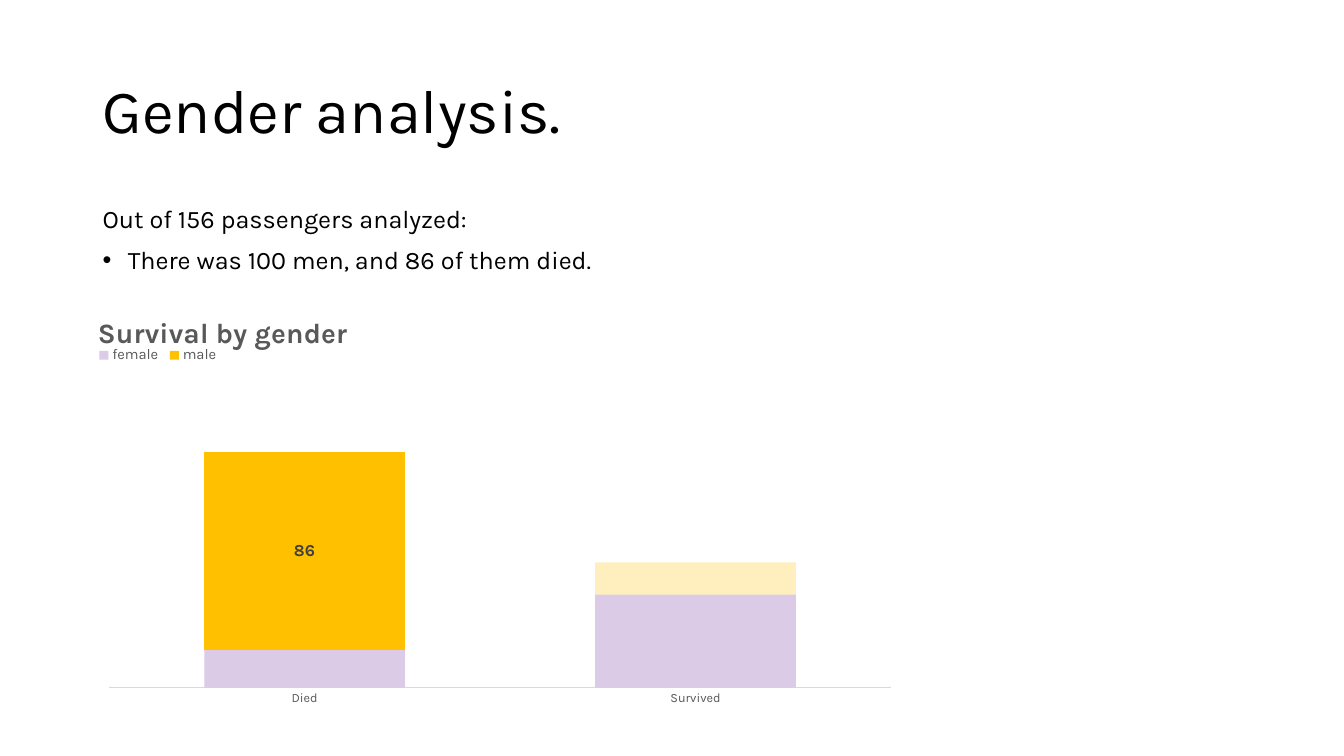
from lxml import etree
from pptx import Presentation
from pptx import util as u
from pptx.chart.data import CategoryChartData
from pptx.dml.color import RGBColor
from pptx.enum import chart as ch, text
from pptx.oxml import parse_xml
from pptx.oxml.ns import nsdecls, qn

PX = 9144  # EMU, 100 px to the inch
FONT = "Karla"
BLACK, GREY, DARK, PALE = "000000", "595959", "404040", "D9D9D9"
PURPLE, GOLD = "7030A0", "FFC000"


def px(*lengths):
    return [u.Emu(length * PX) for length in lengths]


def rgb(value):
    return RGBColor.from_string(value)


def style(font, size, color, bold=False):
    font.name, font.size, font.bold = FONT, u.Pt(size), bold
    font.color.rgb = rgb(color)


def fill(target, color, alpha=None):
    """Fill a chart series or point; alpha is a percentage."""
    paint = target.format.fill
    paint.solid()
    paint.fore_color.rgb = rgb(color)
    if alpha:
        tone = paint._xPr.find(".//" + qn("a:srgbClr"))
        etree.SubElement(tone, qn("a:alpha"), val=str(alpha * 1000))


def add_bullet(line, indent):
    props = line._p.get_or_add_pPr()
    props.set("marL", str(indent))
    props.set("indent", str(-indent))
    for mark in ('buFont {} typeface="Arial"', 'buChar {} char="•"'):
        element = parse_xml(f'<a:{mark.format(nsdecls("a"))}/>')
        props.find(qn("a:defRPr")).addprevious(element)


def add_text(slide, box, lines, size, anchor=text.MSO_ANCHOR.TOP, before=0):
    """Add a text box; each line is (wording, has_bullet)."""
    frame = slide.shapes.add_textbox(*px(*box)).text_frame
    frame.word_wrap = True
    frame.vertical_anchor = anchor
    for number, (wording, bullet) in enumerate(lines):
        line = frame.add_paragraph() if number else frame.paragraphs[0]
        line.text = wording
        line.line_spacing = 0.9
        line.space_before = u.Pt(before)
        style(line.font, size, BLACK)
        if bullet:
            add_bullet(line, 25 * PX)


def place(part, **fractions):
    """Position a chart part by fractions of the chart area."""
    old = part.find(qn("c:layout"))
    if old is not None:
        part.remove(old)
    layout = etree.Element(qn("c:layout"))
    manual = etree.SubElement(layout, qn("c:manualLayout"))
    if part.tag == qn("c:plotArea"):
        etree.SubElement(manual, qn("c:layoutTarget"), val="inner")
    for key in "xy":
        etree.SubElement(manual, qn(f"c:{key}Mode"), val="edge")
    for key, value in fractions.items():
        etree.SubElement(manual, qn(f"c:{key}"), val=str(value))
    overlay = part.find(qn("c:overlay"))
    if overlay is None:
        part.insert(0, layout)
    else:
        overlay.addprevious(layout)


def add_survival_chart(slide, box):
    data = CategoryChartData()
    data.categories = ["Died", "Survived"]
    data.add_series("female", [16, 40])
    data.add_series("male", [86, 14])
    chart = slide.shapes.add_chart(
        ch.XL_CHART_TYPE.COLUMN_STACKED, *px(*box), data).chart
    style(chart.font, 10, BLACK)

    chart.has_title = True
    heading = chart.chart_title.text_frame.paragraphs[0]
    heading.text = "Survival by gender"
    style(heading.font, 20, GREY, bold=True)
    place(chart.chart_title._element, x=0, y=-0.01)

    chart.has_legend = True
    legend = chart.legend
    legend.position = ch.XL_LEGEND_POSITION.TOP
    legend.include_in_layout = False
    style(legend.font, 10.5, GREY)
    place(legend._element, x=0, y=0.08, w=0.16, h=0.07)

    outcomes = chart.category_axis
    outcomes.major_tick_mark = ch.XL_TICK_MARK.NONE
    outcomes.format.line.color.rgb = rgb(PALE)
    outcomes.format.line.width = u.Pt(0.75)
    style(outcomes.tick_labels.font, 9, GREY)

    counts = chart.value_axis
    counts.minimum_scale, counts.maximum_scale = 0, 120
    counts.has_major_gridlines = False
    counts.visible = False

    plot = chart.plots[0]
    plot.gap_width, plot.overlap = 95, 100
    place(plot._element.getparent(), x=0.02, y=0.25, w=0.96, h=0.68)

    female, male = plot.series
    fill(female, PURPLE, 25)
    fill(male, GOLD)
    fill(male.points[1], GOLD, 25)
    labels = male.data_labels
    labels.show_value = True
    style(labels.font, 12, DARK, bold=True)
    hidden = etree.Element(qn("c:dLbl"))
    etree.SubElement(hidden, qn("c:idx"), val="1")
    etree.SubElement(hidden, qn("c:delete"), val="1")
    labels._element.insert(0, hidden)


def main():
    deck = Presentation()
    deck.slide_width, deck.slide_height = px(1333, 750)
    slide = deck.slides.add_slide(deck.slide_layouts[6])
    add_text(slide, (92, 40, 1150, 145), [("Gender analysis.", False)], 44,
             anchor=text.MSO_ANCHOR.MIDDLE)
    add_text(slide, (92, 200, 1150, 476),
             [("Out of 156 passengers analyzed:", False),
              ("There was 100 men, and 86 of them died.", True)], 18, before=10)
    add_survival_chart(slide, (92, 306, 808, 404))
    deck.save("out.pptx")


if __name__ == "__main__":
    main()
